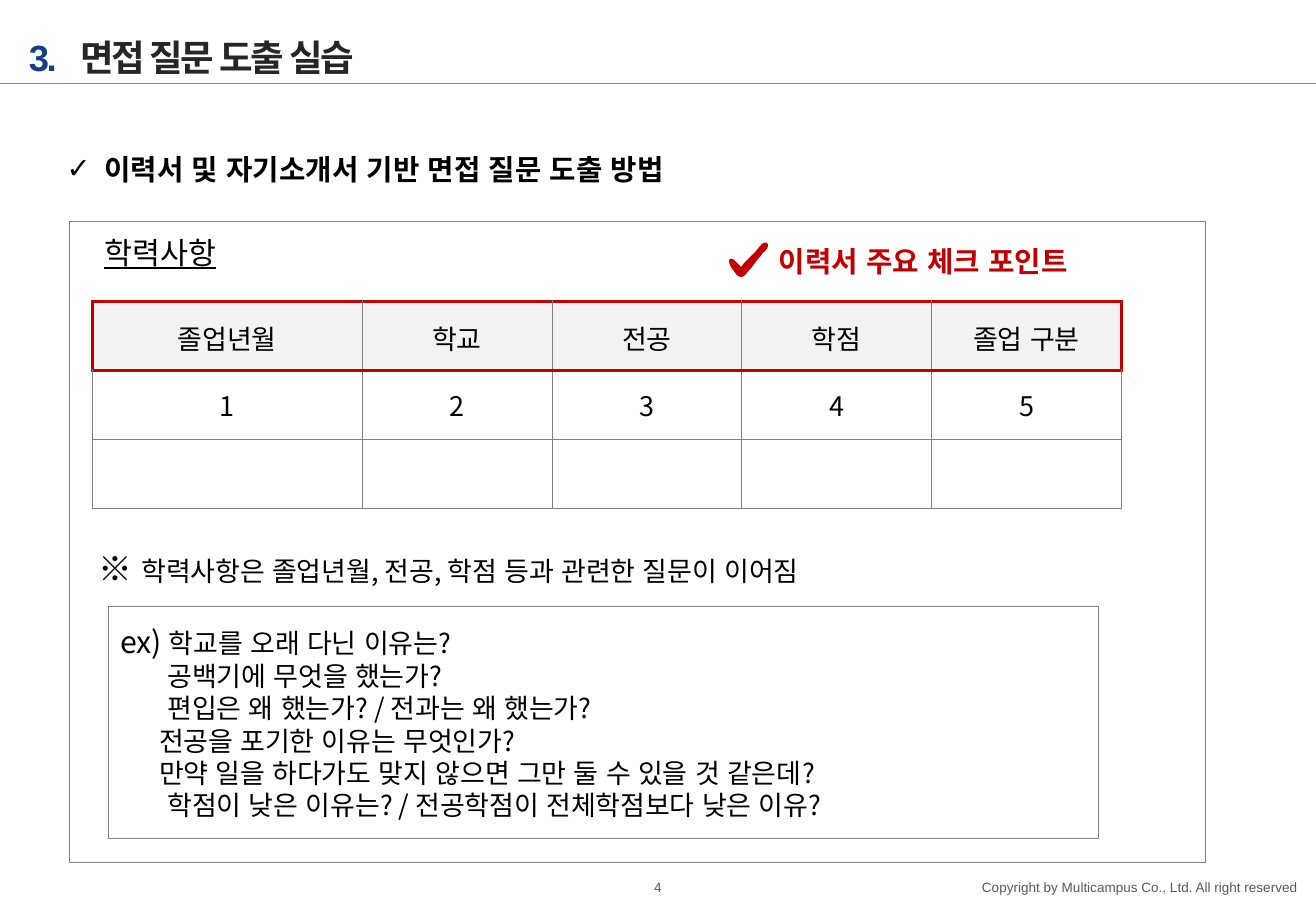
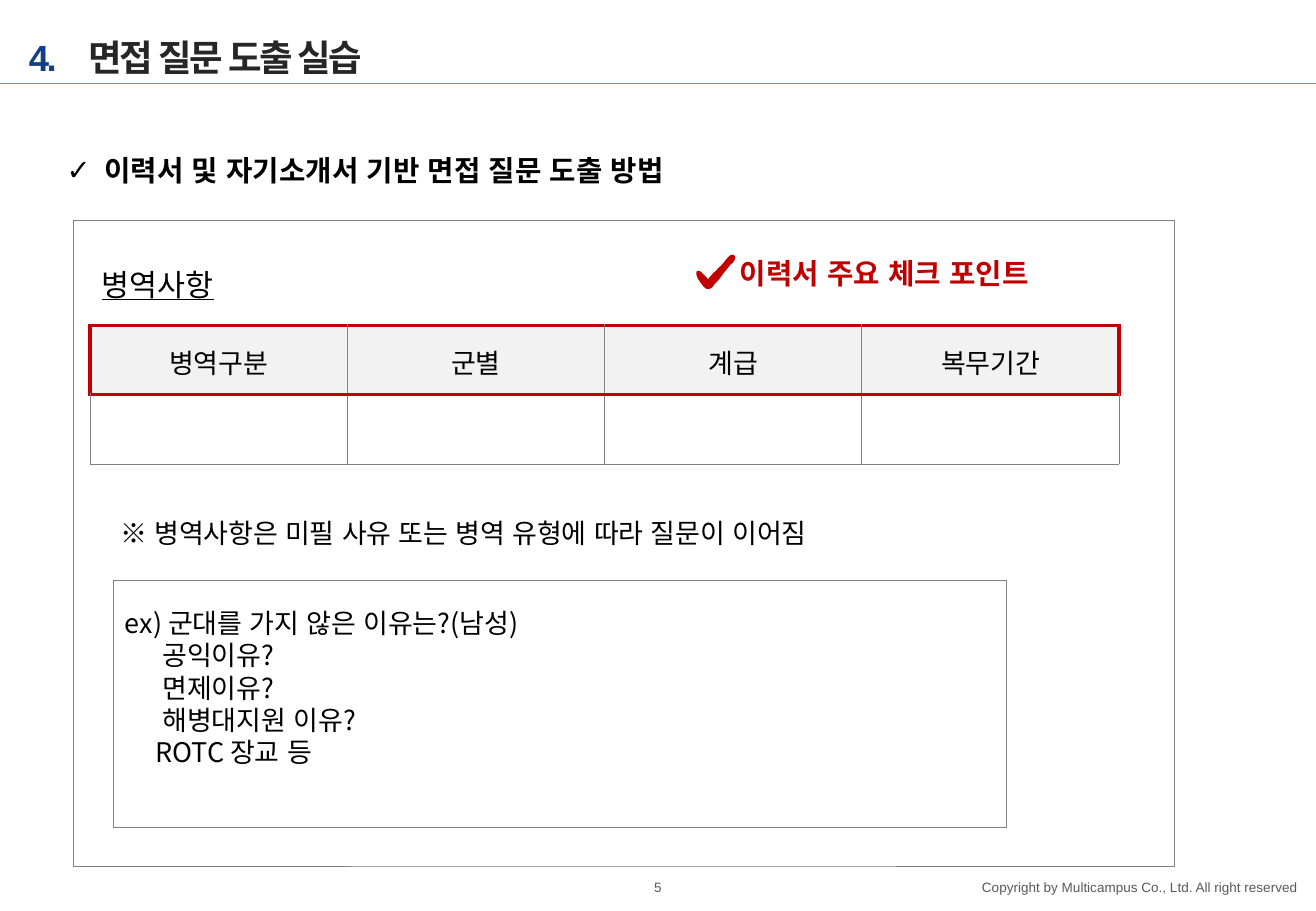
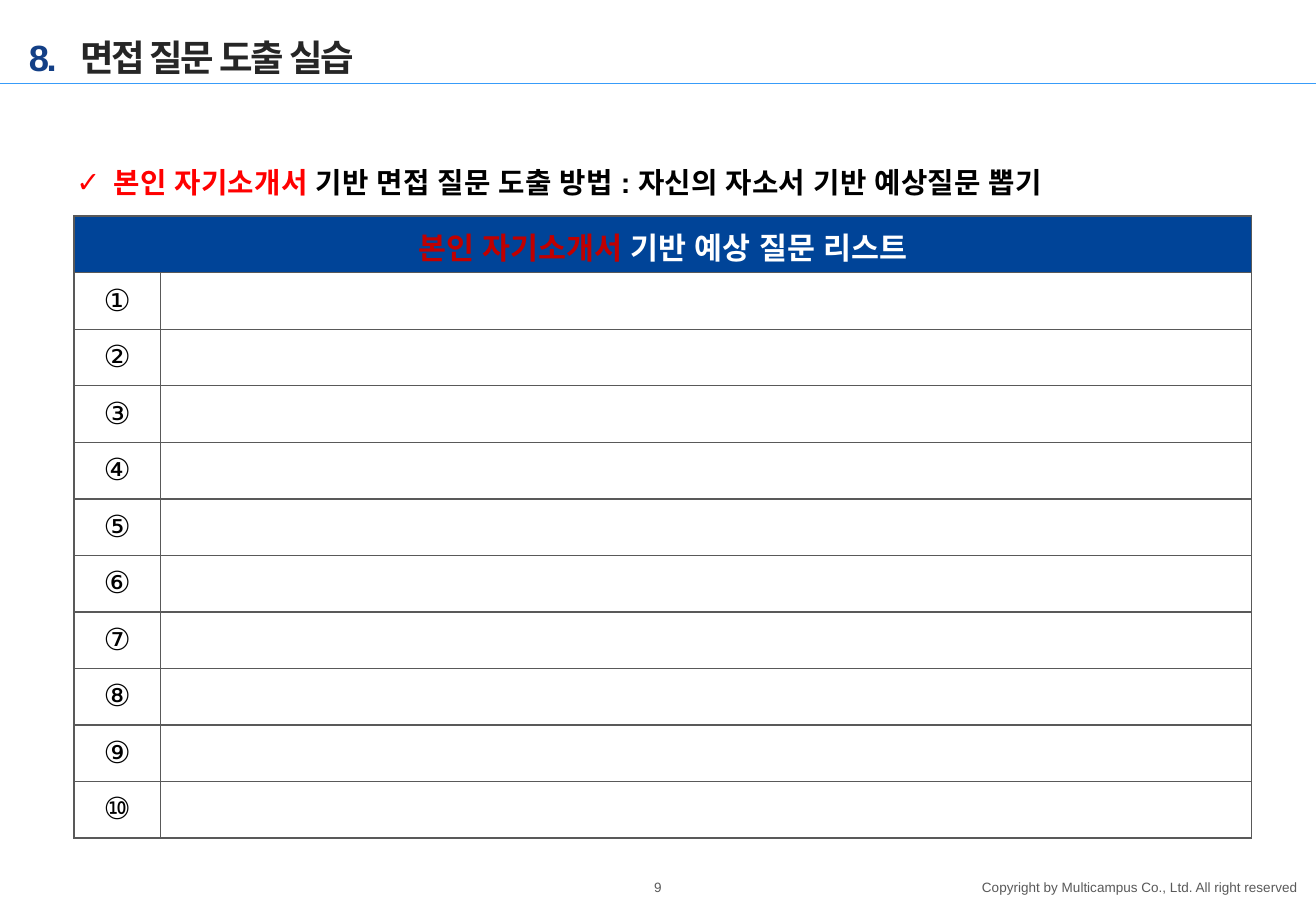
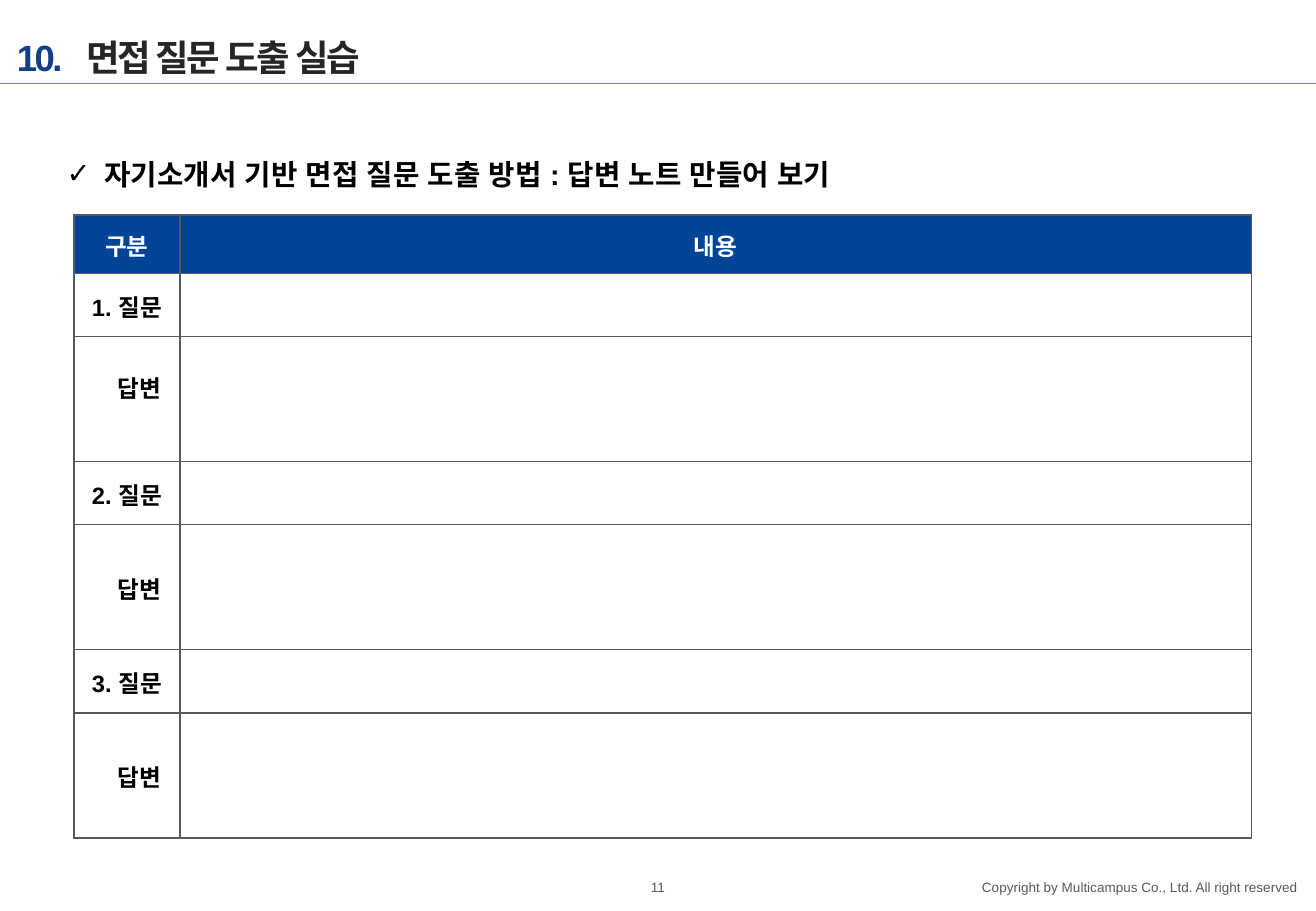
from dataclasses import dataclass

from lxml.etree import SubElement
from pptx import Presentation
from pptx.dml.color import RGBColor
from pptx.enum.shapes import MSO_CONNECTOR, MSO_SHAPE
from pptx.enum.text import MSO_ANCHOR, PP_ALIGN
from pptx.oxml.ns import qn
from pptx.util import Inches, Pt

COLORS = {
    "navy": "133F86", "rule": "389CF9", "title": "262626", "black": "000000",
    "white": "FFFFFF", "footer": "595959", "frame": "808080", "check": "C00000",
    "accent": "FF0000", "head": "F2F2F2", "band": "004498", "grid": "595959",
}
KOREAN = "Noto Sans CJK KR"
LATIN = "Arial"
TITLE = "면접 질문 도출 실습"
METHOD = "이력서 및 자기소개서 기반 면접 질문 도출 방법"
CHECK_START = (0.31, 0.01)
CHECK_CURVES = [
    ((0.29, 0), (0.27, 0.02), (0.27, 0.02)),
    ((0.24, 0.05), (0.23, 0.07), (0.21, 0.09)),
    ((0.18, 0.12), (0.16, 0.14), (0.14, 0.16)),
    ((0.12, 0.18), (0.11, 0.19), (0.1, 0.21)),
    ((0.08, 0.19), (0.06, 0.17), (0.04, 0.15)),
    ((0.03, 0.14), (0, 0.13), (0, 0.16)),
    ((0, 0.2), (0.04, 0.24), (0.06, 0.27)),
    ((0.07, 0.28), (0.08, 0.29), (0.1, 0.29)),
    ((0.12, 0.29), (0.14, 0.27), (0.15, 0.25)),
    ((0.17, 0.23), (0.19, 0.21), (0.21, 0.18)),
    ((0.23, 0.15), (0.26, 0.12), (0.28, 0.09)),
    ((0.3, 0.08), (0.34, 0.03), (0.31, 0.01)),
]


@dataclass
class Run:
    """A stretch of text with one look."""
    text: str
    size: float = 16
    color: str = "black"
    bold: bool = False
    font: str = KOREAN
    underline: bool = False
    spacing: int = 0


def rgb(name):
    """Return the named colour."""
    return RGBColor.from_string(COLORS[name])


def fill_paragraph(paragraph, runs, align=PP_ALIGN.LEFT, leading=1.2):
    """Add runs with a fixed line height."""
    paragraph.alignment = align
    paragraph.line_spacing = Pt(round(leading * max(run.size for run in runs), 1))
    for item in runs:
        run = paragraph.add_run()
        run.text = item.text
        font = run.font
        font.size, font.bold, font.name = Pt(item.size), item.bold, item.font
        font.color.rgb = rgb(item.color)
        if item.underline:
            font.underline = True
        properties = run._r.get_or_add_rPr()
        if item.spacing:
            properties.set("spc", str(item.spacing))
        SubElement(properties, qn("a:ea")).set("typeface", LATIN)


def set_indent(paragraph, margin, first=0.0):
    """Set the left margin and first-line indent in inches."""
    properties = paragraph._p.get_or_add_pPr()
    properties.set("marL", str(Inches(margin)))
    properties.set("indent", str(Inches(first)))
    return properties


def add_text(slide, box, runs, wrap=True, **options):
    """Add a one-paragraph text box and return its frame."""
    frame = slide.shapes.add_textbox(*map(Inches, box)).text_frame
    frame.word_wrap = wrap
    fill_paragraph(frame.paragraphs[0], runs, **options)
    return frame


def add_frame(slide, box):
    """Add a thin grey frame."""
    shape = slide.shapes.add_shape(MSO_SHAPE.RECTANGLE, *map(Inches, box))
    shape.shadow.inherit = False
    shape.fill.solid()
    shape.fill.fore_color.rgb = rgb("white")
    shape.line.color.rgb = rgb("frame")
    shape.line.width = Pt(0.25)
    return shape


def add_page(presentation, number, page, left=0.14, tab=0.42):
    """Add a slide with its title, rule and footer."""
    slide = presentation.slides.add_slide(presentation.slide_layouts[6])
    rule = slide.shapes.add_connector(
        MSO_CONNECTOR.STRAIGHT, 0, Inches(0.69), presentation.slide_width, Inches(0.69))
    rule.line.color.rgb = rgb("rule")
    rule.line.width = Pt(0.5)
    SubElement(rule._element.spPr, qn("a:effectLst"))

    number_frame = add_text(slide, (5.26, 7.22, 0.31, 0.17),
                            [Run(str(page), 8, "footer", font=LATIN)],
                            wrap=False, align=PP_ALIGN.CENTER, leading=1.15)
    number_frame.vertical_anchor = MSO_ANCHOR.MIDDLE
    number_frame.margin_left = number_frame.margin_right = 0
    number_frame.margin_top = number_frame.margin_bottom = 0
    copyright_frame = add_text(
        slide, (8.02, 7.19, 2.76, 0.24),
        [Run("Copyright by Multicampus Co., Ltd. All right reserved", 8, "footer", font=LATIN)],
        align=PP_ALIGN.RIGHT, leading=1.15)
    copyright_frame.margin_left = 0

    title = add_text(slide, (left, 0.07, 7.35, 0.61), [
        Run(f"{number}.\t", 21.6, "navy", True, LATIN, spacing=-150),
        Run(TITLE, 21.6, "title", True, spacing=-150)])
    title.vertical_anchor = MSO_ANCHOR.BOTTOM
    title.margin_bottom = Inches(0.03)
    tabs = SubElement(title.paragraphs[0]._p.get_or_add_pPr(), qn("a:tabLst"))
    stop = SubElement(tabs, qn("a:tab"))
    stop.set("pos", str(Inches(tab)))
    stop.set("algn", "l")
    return slide


def add_heading(slide, left, top, *parts):
    """Add the ticked heading from (text, colour) parts."""
    frame = add_text(slide, (left, top, 10.26, 0.39),
                     [Run(text, 17, color, True, LATIN) for text, color in parts])
    properties = set_indent(frame.paragraphs[0], 0.31, -0.31)
    SubElement(properties, qn("a:buFont")).set("typeface", LATIN)
    SubElement(properties, qn("a:buChar")).set("char", "✓")


def curve_points(start, curves, steps=6):
    """Return points along a chain of cubic curves."""
    points = []
    for first, second, end in curves:
        for step in range(1, steps + 1):
            t = step / steps
            weights = ((1 - t) ** 3, 3 * t * (1 - t) ** 2, 3 * t * t * (1 - t), t ** 3)
            points.append(tuple(
                sum(weight * value for weight, value in zip(weights, axis))
                for axis in zip(start, first, second, end)))
        start = end
    return points


def add_check_point(slide, left, top, gap):
    """Add the red tick and its caption."""
    points = [(Inches(left + x), Inches(top + y))
              for x, y in [CHECK_START] + curve_points(CHECK_START, CHECK_CURVES)]
    builder = slide.shapes.build_freeform(*points[0])
    builder.add_line_segments(points[1:], close=True)
    tick = builder.convert_to_shape()
    tick.shadow.inherit = False
    tick.fill.solid()
    tick.fill.fore_color.rgb = rgb("check")
    tick.line.fill.background()
    add_text(slide, (left + gap, top - 0.03, 2.84, 0.39),
             [Run("이력서 주요 체크 포인트", 17, "check", True)], wrap=False)


def set_borders(cell, **sides):
    """Draw cell sides given as (colour, points)."""
    properties = cell._tc.get_or_add_tcPr()
    for side in "LRTB":
        color, width = sides[side]
        line = SubElement(properties, qn(f"a:ln{side}"))
        line.set("w", str(Pt(width)))
        solid = SubElement(line, qn("a:solidFill"))
        SubElement(solid, qn("a:srgbClr")).set("val", COLORS[color])


def add_grid(slide, left, top, columns, rows, line):
    """Add a plain white table with even borders."""
    table = slide.shapes.add_table(
        len(rows), len(columns), Inches(left), Inches(top),
        Inches(sum(columns)), Inches(sum(rows))).table
    table.first_row = table.horz_banding = False
    for column, width in zip(table.columns, columns):
        column.width = Inches(width)
    for row, height in zip(table.rows, rows):
        row.height = Inches(height)
    for cell in table.iter_cells():
        set_borders(cell, L=line, R=line, T=line, B=line)
        paint_cell(cell, "white")
    return table


def paint_cell(cell, color):
    """Fill a cell with a colour."""
    cell.fill.solid()
    cell.fill.fore_color.rgb = rgb(color)


def write_cell(cell, *runs, leading=1.4):
    """Write centred text in a cell."""
    cell.vertical_anchor = MSO_ANCHOR.MIDDLE
    fill_paragraph(cell.text_frame.paragraphs[0], runs, PP_ALIGN.CENTER, leading)


def add_resume_table(slide, left, top, columns, lines, row_count):
    """Add a résumé table with a red-edged header row."""
    thin, thick = ("frame", 0.5), ("check", 2.25)
    table = add_grid(slide, left, top, columns, [0.57] * row_count, thin)
    last = len(columns) - 1
    for index in range(len(columns)):
        head, below = table.cell(0, index), table.cell(1, index)
        for cell in (head, below):
            properties = cell._tc.get_or_add_tcPr()
            for child in list(properties):
                properties.remove(child)
        set_borders(head, L=thin if index else thick, T=thick, B=thick,
                    R=thick if index == last else thin)
        set_borders(below, L=thin, R=thin, T=thick, B=thin)
        paint_cell(head, "head")
        paint_cell(below, "white")
    for row, texts in enumerate(lines):
        for column, text in enumerate(texts):
            write_cell(table.cell(row, column), Run(text))


def add_examples(slide, box, first_runs, lines, bottom=0.05):
    """Add the framed example questions, each line with its indent."""
    frame = add_frame(slide, box).text_frame
    frame.word_wrap = True
    frame.vertical_anchor = MSO_ANCHOR.MIDDLE
    frame.margin_bottom = Inches(bottom)
    fill_paragraph(frame.paragraphs[0], first_runs)
    set_indent(frame.paragraphs[0], 0.39, -0.39)
    for indent, text in lines:
        paragraph = frame.add_paragraph()
        fill_paragraph(paragraph, [Run(text)])
        set_indent(paragraph, indent)


def add_section(slide, box, label, label_at, note, note_at):
    """Add a framed section with its label and note."""
    add_frame(slide, box)
    add_text(slide, (*label_at, 1.12, 0.4), [Run(label, 18, underline=True)], wrap=False)
    add_text(slide, (*note_at, 9.06, 0.44), note)


def build_education(presentation):
    """Build the education slide."""
    slide = add_page(presentation, 3, 4)
    add_heading(slide, 0.45, 1.2, (METHOD, "black"))
    add_section(slide, (0.57, 1.82, 9.35, 5.28), "학력사항", (0.76, 1.88),
                [Run("※ ", 20), Run("학력사항은 졸업년월, 전공, 학점 등과 관련한 질문이 이어짐")],
                (0.71, 4.46))
    add_examples(slide, (0.89, 4.99, 8.15, 1.91),
                 [Run("ex) ", 18), Run("학교를 오래 다닌 이유는?")],
                 [(0.39, "공백기에 무엇을 했는가?"),
                  (0.39, "편입은 왜 했는가? / 전과는 왜 했는가?"),
                  (0.32, "전공을 포기한 이유는 무엇인가?"),
                  (0.32, "만약 일을 하다가도 맞지 않으면 그만 둘 수 있을 것 같은데?"),
                  (0.39, "학점이 낮은 이유는? / 전공학점이 전체학점보다 낮은 이유?")])
    add_check_point(slide, 6, 1.99, 0.31)
    add_resume_table(slide, 0.76, 2.48, [2.22] + [6.25 / 4] * 4,
                     [["졸업년월", "학교", "전공", "학점", "졸업 구분"], "12345"], 3)


def build_military(presentation):
    """Build the military service slide."""
    slide = add_page(presentation, 4, 5, tab=0.49)
    add_heading(slide, 0.45, 1.21, (METHOD, "black"))
    add_section(slide, (0.6, 1.81, 9.06, 5.32), "병역사항", (0.74, 2.14),
                [Run("※ 병역사항은 미필 사유 또는 병역 유형에 따라 질문이 이어짐")],
                (0.89, 4.2))
    add_examples(slide, (0.93, 4.78, 7.35, 2.03),
                 [Run("ex) 군대를 가지 않은 이유는?(남성)")],
                 [(0.31, "공익이유?"), (0.31, "면제이유?"), (0.31, "해병대지원 이유?"),
                  (0.25, "ROTC 장교 등")], bottom=0.32)
    add_check_point(slide, 5.73, 2.09, 0.26)
    add_resume_table(slide, 0.74, 2.68, [8.47 / 4] * 4,
                     [["병역구분", "군별", "계급", "복무기간"]], 2)


def build_question_list(presentation):
    """Build the expected question list slide."""
    slide = add_page(presentation, 8, 9)
    add_heading(slide, 0.53, 1.31, ("본인 자기소개서 ", "accent"),
                ("기반 면접 질문 도출 방법 : 자신의 자소서 기반 예상질문 뽑기", "black"))
    table = add_grid(slide, 0.61, 1.78, [0.71, 8.98], [5.12 / 11] * 11, ("grid", 1))
    table.cell(0, 0).merge(table.cell(0, 1))
    paint_cell(table.cell(0, 0), "band")
    write_cell(table.cell(0, 0), Run("본인 자기소개서", 18, "check", True, LATIN),
               Run(" 기반 예상 질문 리스트", 18, "white", True, LATIN))
    for row, mark in enumerate("①②③④⑤⑥⑦⑧⑨⑩", 1):
        write_cell(table.cell(row, 0), Run(mark, 18, font=LATIN), leading=1.1)


def build_answer_note(presentation):
    """Build the answer note slide."""
    slide = add_page(presentation, 10, 11, left=0.04, tab=0.57)
    add_heading(slide, 0.45, 1.24,
                ("자기소개서 기반 면접 질문 도출 방법 : 답변 노트 만들어 보기", "black"))
    table = add_grid(slide, 0.61, 1.77, [0.87, 8.82], [0.48] + [0.52, 1.03] * 3, ("grid", 1))
    for column, text in enumerate(["구분", "내용"]):
        paint_cell(table.cell(0, column), "band")
        write_cell(table.cell(0, column), Run(text, 14, "white", True, LATIN))
    for number in range(1, 4):
        question, answer = table.cell(2 * number - 1, 0), table.cell(2 * number, 0)
        write_cell(question, Run(f"{number}. 질문", 14, bold=True, font=LATIN))
        write_cell(answer, Run("답변", 14, bold=True, font=LATIN))
        set_indent(answer.text_frame.paragraphs[0], 0.21)
    table.cell(2, 0).margin_bottom = Inches(0.26)


def main():
    """Build and save the presentation."""
    presentation = Presentation()
    presentation.slide_width, presentation.slide_height = Inches(10.83), Inches(7.5)
    for build in (build_education, build_military, build_question_list, build_answer_note):
        build(presentation)
    presentation.save("out.pptx")


if __name__ == "__main__":
    main()
